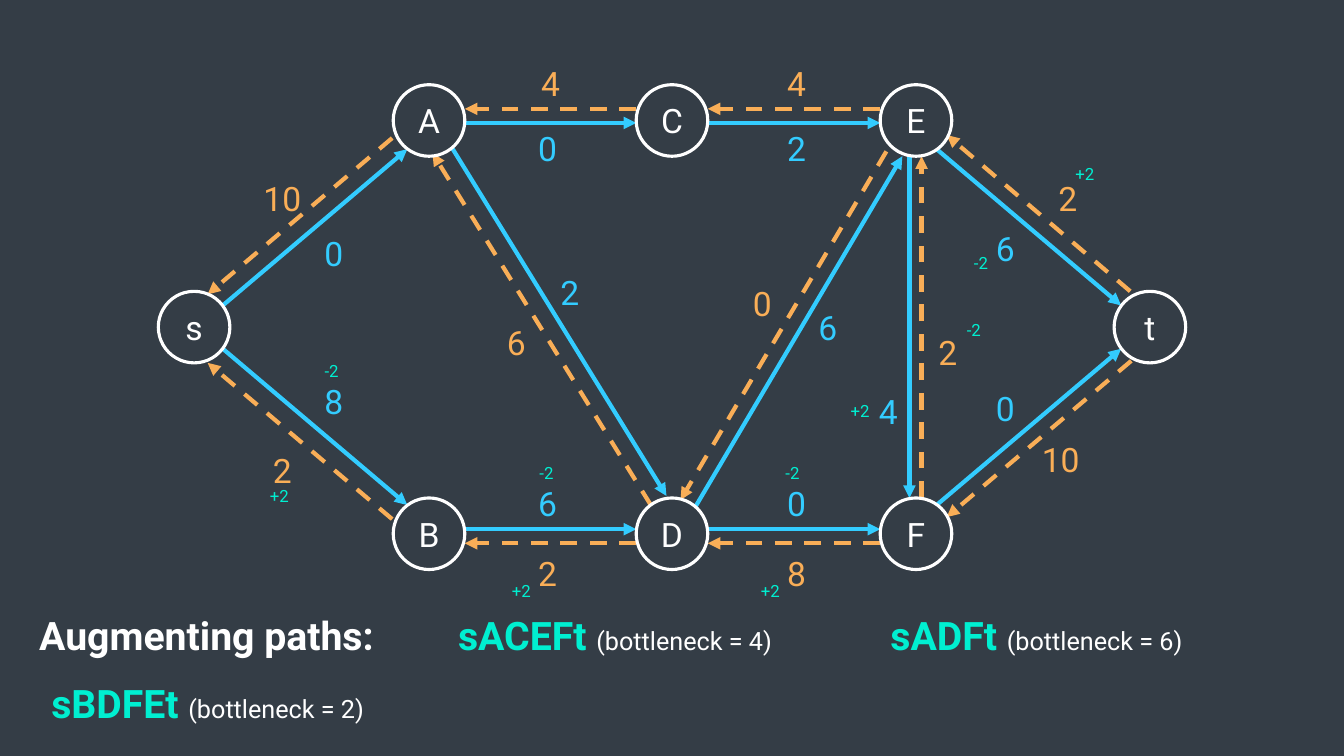
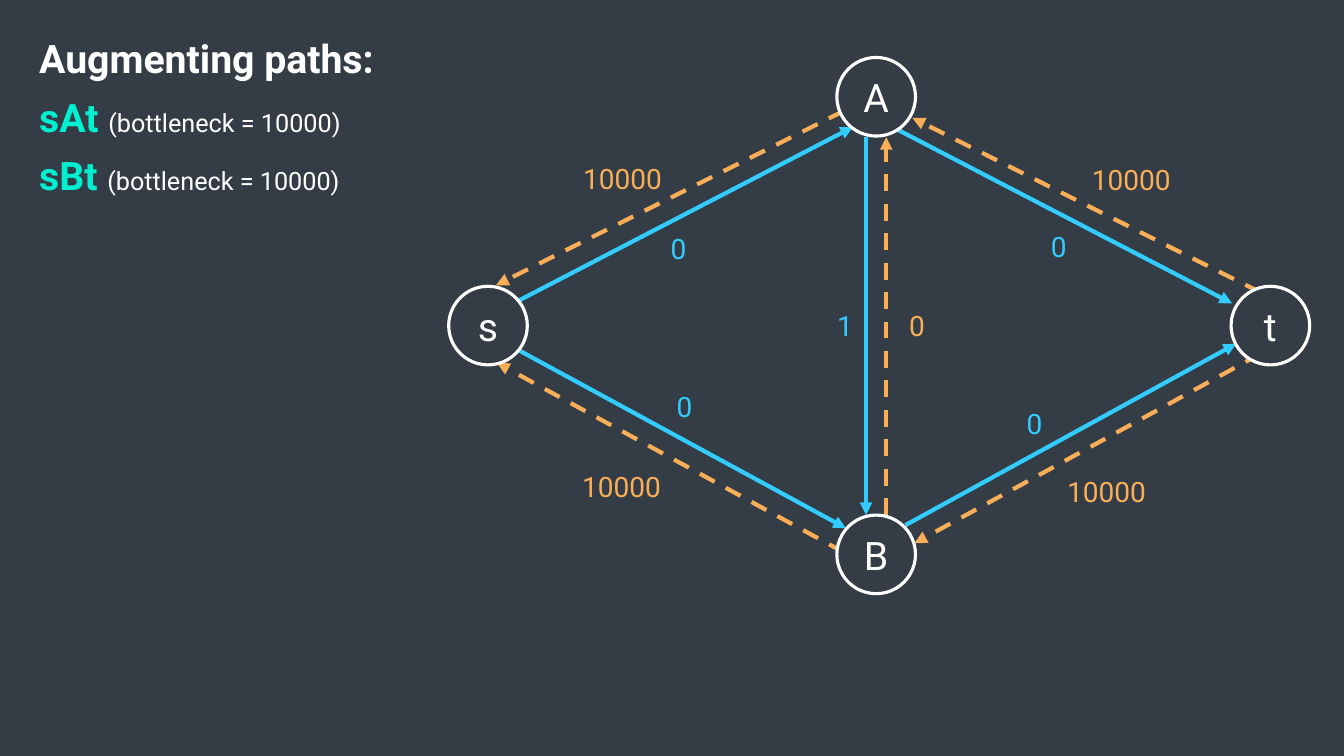
from dataclasses import dataclass

from pptx import Presentation
from pptx.dml.color import RGBColor
from pptx.enum.dml import MSO_LINE
from pptx.enum.shapes import MSO_CONNECTOR, MSO_SHAPE
from pptx.enum.text import MSO_ANCHOR, MSO_AUTO_SIZE, PP_ALIGN
from pptx.oxml.ns import qn
from pptx.slide import Slide
from pptx.text.text import Font
from pptx.util import Inches, Pt
from lxml.etree import SubElement

FACE = "Roboto"
NIGHT, WHITE = "343D46", "FFFFFF"
BLUE, GOLD, MINT = "33CCFF", "F9AE57", "00EFD1"
LEFT, MID = PP_ALIGN.LEFT, PP_ALIGN.CENTER


@dataclass
class Node:
    name: str
    left: float
    top: float


@dataclass
class Edge:
    x1: float
    y1: float
    x2: float
    y2: float


@dataclass
class Label:
    text: str
    left: float
    top: float
    width: float


@dataclass
class Route:
    name: str
    note: str
    left: float
    top: float
    align: PP_ALIGN = LEFT
    width: float = 3.6


@dataclass
class Graph:
    disc: float
    node_size: int
    label_size: int
    label_height: float
    nodes: list[Node]
    flows: list[Edge]
    backs: list[Edge]
    blues: list[Label]
    golds: list[Label]
    deltas: list[Label]
    title_top: float
    routes: list[Route]


def tint(code: str) -> RGBColor:
    return RGBColor.from_string(code)


def style(font: Font, size: float, color: str, bold: bool = False) -> None:
    font.name, font.size, font.bold = FACE, Pt(size), bold
    font.color.rgb = tint(color)


def draw_edge(slide: Slide, edge: Edge, color: str, dashed: bool) -> None:
    ends = [Inches(v) for v in (edge.x1, edge.y1, edge.x2, edge.y2)]
    link = slide.shapes.add_connector(MSO_CONNECTOR.STRAIGHT, *ends)
    link.line.color.rgb = tint(color)
    link.line.width = Pt(3)
    if dashed:
        link.line.dash_style = MSO_LINE.DASH
    props = link._element.spPr
    SubElement(props.find(qn("a:ln")), qn("a:tailEnd"), type="triangle")
    SubElement(props, qn("a:effectLst"))


def draw_node(slide: Slide, node: Node, disc: float, size: int) -> None:
    shape = slide.shapes.add_shape(
        MSO_SHAPE.OVAL, Inches(node.left), Inches(node.top), Inches(disc), Inches(disc))
    shape.shadow.inherit = False
    shape.fill.solid()
    shape.fill.fore_color.rgb = tint(NIGHT)
    shape.line.color.rgb = tint(WHITE)
    shape.line.width = Pt(2.25)
    frame = shape.text_frame
    frame.vertical_anchor = MSO_ANCHOR.MIDDLE
    frame.text = node.name
    frame.paragraphs[0].alignment = MID
    style(frame.paragraphs[0].runs[0].font, size, WHITE)


def draw_text(slide: Slide, label: Label, height: float, size: float, color: str,
              align: PP_ALIGN = MID, bold: bool = False, inset: bool = True,
              note: str = "") -> None:
    box = slide.shapes.add_textbox(
        Inches(label.left), Inches(label.top), Inches(label.width), Inches(height))
    frame = box.text_frame
    frame.word_wrap = True
    frame.auto_size = MSO_AUTO_SIZE.SHAPE_TO_FIT_TEXT
    if not inset:
        frame.margin_left = frame.margin_right = Inches(0)
        frame.margin_top = frame.margin_bottom = Inches(0)
    frame.text = label.text
    line = frame.paragraphs[0]
    line.alignment = align
    style(line.runs[0].font, size, color, bold)
    if note:
        run = line.add_run()
        run.text = note
        style(run.font, 18, WHITE)


def draw_graph(slide: Slide, graph: Graph) -> None:
    for edges, color, dashed in ((graph.backs, GOLD, True), (graph.flows, BLUE, False)):
        for edge in edges:
            draw_edge(slide, edge, color, dashed)
    for node in graph.nodes:
        draw_node(slide, node, graph.disc, graph.node_size)
    for labels, color in ((graph.blues, BLUE), (graph.golds, GOLD)):
        for label in labels:
            draw_text(slide, label, graph.label_height, graph.label_size, color, inset=False)
    for label in graph.deltas:
        draw_text(slide, label, 0.3, 12, MINT)
    title = Label("Augmenting paths:", 0.29, graph.title_top, 4)
    draw_text(slide, title, 0.57, 28, WHITE, LEFT, True)
    for route in graph.routes:
        label = Label(f"{route.name} ", route.left, route.top, route.width)
        draw_text(slide, label, 0.57, 28, MINT, route.align, True,
                  note=f"(bottleneck = {route.note})")


def place(width: float, *items: tuple[str, float, float]) -> list[Label]:
    return [Label(*item, width) for item in items]


COLS = (1.57, 3.9, 6.31, 8.73, 11.05)
ROWS = (0.84, 2.89, 4.94)
SPOTS = (("s", 0, 1), ("t", 4, 1), ("A", 1, 0), ("B", 1, 2),
         ("C", 2, 0), ("D", 2, 2), ("E", 3, 0), ("F", 3, 2))
GAPS = ((4.61, 6.31), (7.02, 8.73))

LARGE = Graph(
    disc=0.71, node_size=24, label_size=24, label_height=0.4,
    nodes=[Node(name, COLS[col], ROWS[row]) for name, col, row in SPOTS],
    flows=[
        Edge(4.3, 1.17, 6.61, 4.92),
        Edge(6.76, 5.26, 8.95, 1.55),
        Edge(2.21, 3.03, 4.04, 1.48),
        Edge(2.21, 3.46, 4.04, 5.01),
        Edge(9.02, 1.55, 9.02, 4.94),
        Edge(9.29, 1.48, 11.12, 3.03),
        Edge(9.29, 5.01, 11.12, 3.46),
        *(Edge(a, y, b, y) for y in (1.22, 5.25) for a, b in GAPS),
    ],
    backs=[
        Edge(6.61, 5.26, 4.29, 1.52),
        Edge(8.94, 1.25, 6.75, 4.96),
        Edge(3.89, 1.37, 2.06, 2.92),
        Edge(3.89, 5.15, 2.06, 3.6),
        Edge(9.14, 4.94, 9.14, 1.55),
        Edge(11.21, 2.89, 9.39, 1.34),
        Edge(11.22, 3.58, 9.39, 5.13),
        *(Edge(b, y, a, y) for y in (1.08, 5.39) for a, b in GAPS),
    ],
    blues=place(
        0.62, ("0", 3, 2.31), ("8", 3, 3.78), ("6", 5.12, 4.79), ("0", 7.59, 4.79),
        ("4", 8.5, 3.88), ("6", 7.9, 3.04), ("6", 9.66, 2.26), ("0", 9.66, 3.85),
        ("0", 5.12, 1.27), ("2", 7.59, 1.27), ("2", 5.34, 2.7)),
    golds=place(
        0.62, ("10", 2.49, 1.77), ("4", 5.15, 0.62), ("4", 7.59, 0.62), ("2", 10.28, 1.77),
        ("10", 10.21, 4.35), ("8", 7.59, 5.49), ("2", 5.12, 5.49), ("6", 4.81, 3.19),
        ("0", 7.25, 2.81), ("2", 2.49, 4.46), ("2", 9.09, 3.29)),
    deltas=place(
        0.56, ("+2", 2.49, 4.77), ("-2", 3.01, 3.53), ("+2", 4.89, 5.71), ("-2", 5.14, 4.54),
        ("+2", 7.36, 5.71), ("-2", 7.58, 4.54), ("+2", 8.25, 3.93), ("-2", 9.38, 3.12),
        ("+2", 10.48, 1.58), ("-2", 9.45, 2.46)),
    title_top=6.02,
    routes=[
        Route("sACEFt", "4", 4.3, 6.02, MID),
        Route("sADFt", "6", 8.48, 6.02, MID),
        Route("sBDFEt", "2", 0.26, 6.69, MID),
    ],
)

SMALL = Graph(
    disc=0.78, node_size=28, label_size=20, label_height=0.34,
    nodes=[Node("s", 4.45, 2.84), Node("t", 12.21, 2.84),
           Node("B", 8.3, 5.11), Node("A", 8.3, 0.57)],
    flows=[
        Edge(8.89, 1.28, 12.22, 3.01),
        Edge(8.98, 5.21, 12.26, 3.41),
        Edge(8.59, 1.36, 8.59, 5.11),
        Edge(5.13, 2.99, 8.46, 1.26),
        Edge(5.1, 3.45, 8.39, 5.24),
    ],
    backs=[
        Edge(12.5, 2.9, 9.05, 1.17),
        Edge(12.5, 3.51, 9.07, 5.39),
        Edge(8.79, 5.11, 8.79, 1.36),
        Edge(8.37, 1.1, 4.92, 2.83),
        Edge(8.37, 5.48, 4.93, 3.6),
    ],
    blues=place(1.44, ("0", 9.78, 2.28), ("0", 9.54, 4.03), ("1", 7.66, 3.06),
                ("0", 6.01, 2.3), ("0", 6.07, 3.86)),
    golds=[
        Label("0", 8.75, 3.06, 0.69),
        Label("10000", 10.62, 1.61, 1.2),
        Label("10000", 10.34, 4.71, 1.27),
        Label("10000", 5.57, 1.6, 1.21),
        Label("10000", 5.6, 4.66, 1.13),
    ],
    deltas=[],
    title_top=0.29,
    routes=[Route("sAt", "10000", 0.29, 0.88), Route("sBt", "10000", 0.29, 1.45)],
)


def main() -> None:
    deck = Presentation()
    deck.slide_width, deck.slide_height = Inches(13.33), Inches(7.5)
    ground = deck.slide_master.background.fill
    ground.solid()
    ground.fore_color.rgb = tint(NIGHT)
    for graph in (LARGE, SMALL):
        draw_graph(deck.slides.add_slide(deck.slide_layouts[6]), graph)
    deck.save("out.pptx")


if __name__ == "__main__":
    main()
